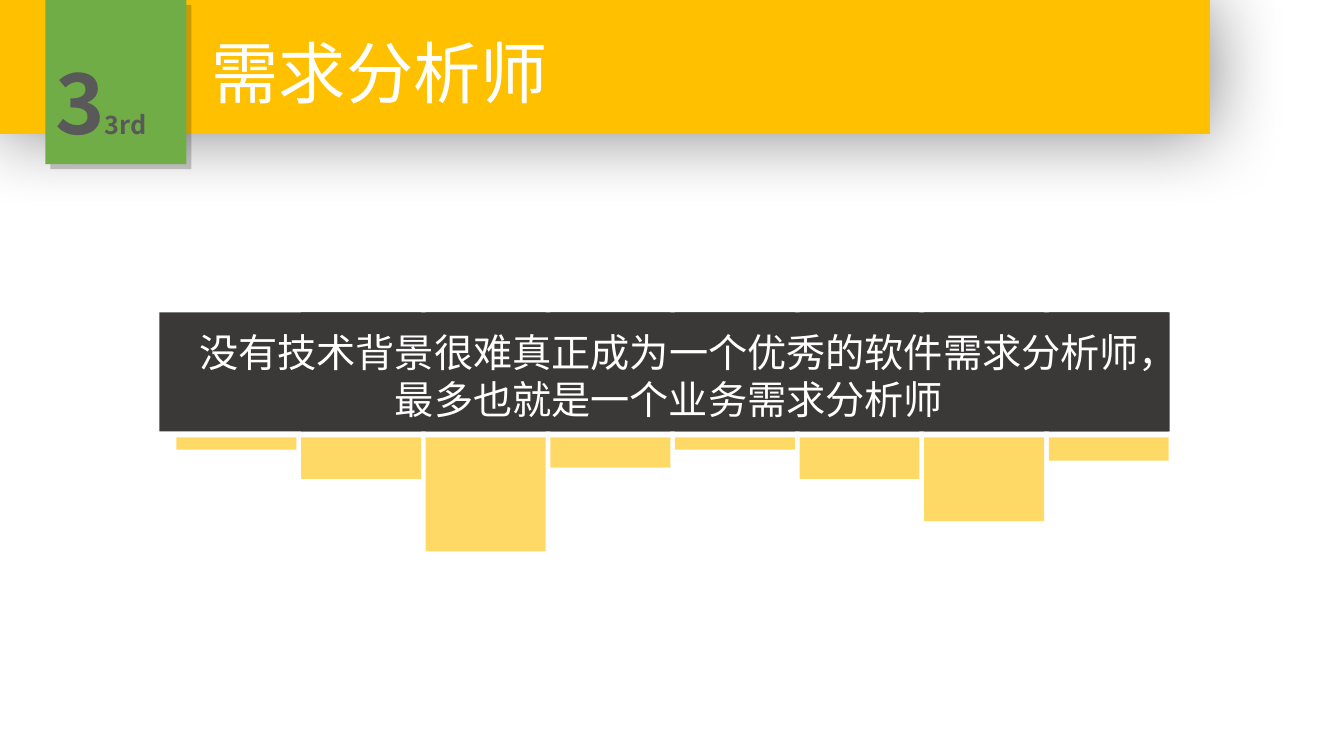
from lxml import etree
from pptx import Presentation
from pptx.dml.color import RGBColor
from pptx.enum.shapes import MSO_SHAPE as SHAPE
from pptx.enum.text import MSO_ANCHOR as ANCHOR, MSO_AUTO_SIZE as AUTO, PP_ALIGN as ALIGN
from pptx.oxml.ns import qn
from pptx.util import Inches, Pt

TITLE = "需求分析师"
BADGE = [("3", 60), ("3rd", 18)]
STATEMENT = ["没有技术背景很难真正成为一个优秀的软件需求分析师，", "最多也就是一个业务需求分析师"]
DRIP_HEIGHTS = [0.12, 0.41, 1.13, 0.3, 0.12, 0.41, 0.83, 0.23]

FONT = "Noto Sans CJK SC"
WHITE, GREY, DARK = "FFFFFF", "595959", "3B3838"
AMBER, GREEN, YELLOW = "FFC000", "70AD47", "FFD966"
BAND_TOP, BAND_H = 3.1, 1.18
DRIP_LEFT, DRIP_TOP, DRIP_W, DRIP_STEP = 1.75, 4.34, 1.19, 1.236


def rgb(value):
    """Turn a hex string into a colour."""
    return RGBColor.from_string(value)


def add_rect(s, left, top, width, height, color):
    """Add a plain filled rectangle without line or shadow."""
    sp = s.shapes.add_shape(SHAPE.RECTANGLE, *map(Inches, (left, top, width, height)))
    sp.shadow.inherit = False
    sp.fill.solid()
    sp.fill.fore_color.rgb = rgb(color)
    sp.line.fill.background()
    return sp


def add_shadow(sp, alpha, blur=0, dist=0, angle=0):
    """Give a shape a black outer shadow; alpha in percent, lengths in points."""
    effects = sp._element.spPr.find(qn("a:effectLst"))
    shadow = etree.SubElement(effects, qn("a:outerShdw"), blurRad=str(Pt(blur)),
                              dist=str(Pt(dist)), dir=str(angle * 60000),
                              algn="ctr", rotWithShape="0")
    color = etree.SubElement(shadow, qn("a:srgbClr"), val="000000")
    etree.SubElement(color, qn("a:alpha"), val=str(alpha * 1000))


def set_text(sp, box, paragraphs, color=WHITE, bold=False, align=ALIGN.LEFT):
    """Place a text shape and fill it with paragraphs of (text, size) runs."""
    sp.left, sp.top, sp.width, sp.height = map(Inches, box)
    tf = sp.text_frame
    tf.word_wrap, tf.auto_size, tf.vertical_anchor = True, AUTO.NONE, ANCHOR.TOP
    size = max(points for _, points in paragraphs[0])
    tf.margin_left = tf.margin_right = Inches(0.1)
    tf.margin_top, tf.margin_bottom = Pt(3.6 + 0.09 * size), 0
    for i, runs in enumerate(paragraphs):
        p = tf.add_paragraph() if i else tf.paragraphs[0]
        p.alignment = align
        p.line_spacing = Pt(1.2 * size)
        p.space_before = Pt(0)
        for text, points in runs:
            r = p.add_run()
            r.text = text
            r.font.size, r.font.bold, r.font.name = Pt(points), bold, FONT
            r.font.color.rgb = rgb(color)
            etree.SubElement(r.font._element, qn("a:ea"), typeface=FONT)


def add_text(s, box, paragraphs, **style):
    """Add a text box with formatted paragraphs."""
    set_text(s.shapes.add_textbox(0, 0, 0, 0), box, paragraphs, **style)


prs = Presentation()
prs.slide_width, prs.slide_height = Inches(13.33), Inches(7.5)
s = prs.slides.add_slide(prs.slide_layouts[5])

add_rect(s, 1.58, BAND_TOP, 10.02, BAND_H, DARK)
for i, height in enumerate(DRIP_HEIGHTS):
    left = DRIP_LEFT + i * DRIP_STEP
    if i:
        add_rect(s, left, BAND_TOP, DRIP_W, BAND_H, DARK)
    add_rect(s, left, DRIP_TOP, DRIP_W, height, YELLOW)
add_text(s, (1.69, 3.17, 9.89, 1.04), [[(line, 28)] for line in STATEMENT],
         align=ALIGN.CENTER)

banner = add_rect(s, 0, 0, 12, 1.33, AMBER)
add_shadow(banner, 48, blur=54)
title = s.shapes.title
set_text(title, (2, 0.2, 5.32, 0.91), [[(TITLE, 48)]])
banner._element.addnext(title._element)

badge = add_rect(s, 0.45, 0, 1.4, 1.63, GREEN)
add_shadow(badge, 20, dist=5, angle=45)
add_text(s, (0.45, 0.38, 1.54, 1.11), [BADGE], color=GREY, bold=True)

prs.save("out.pptx")
